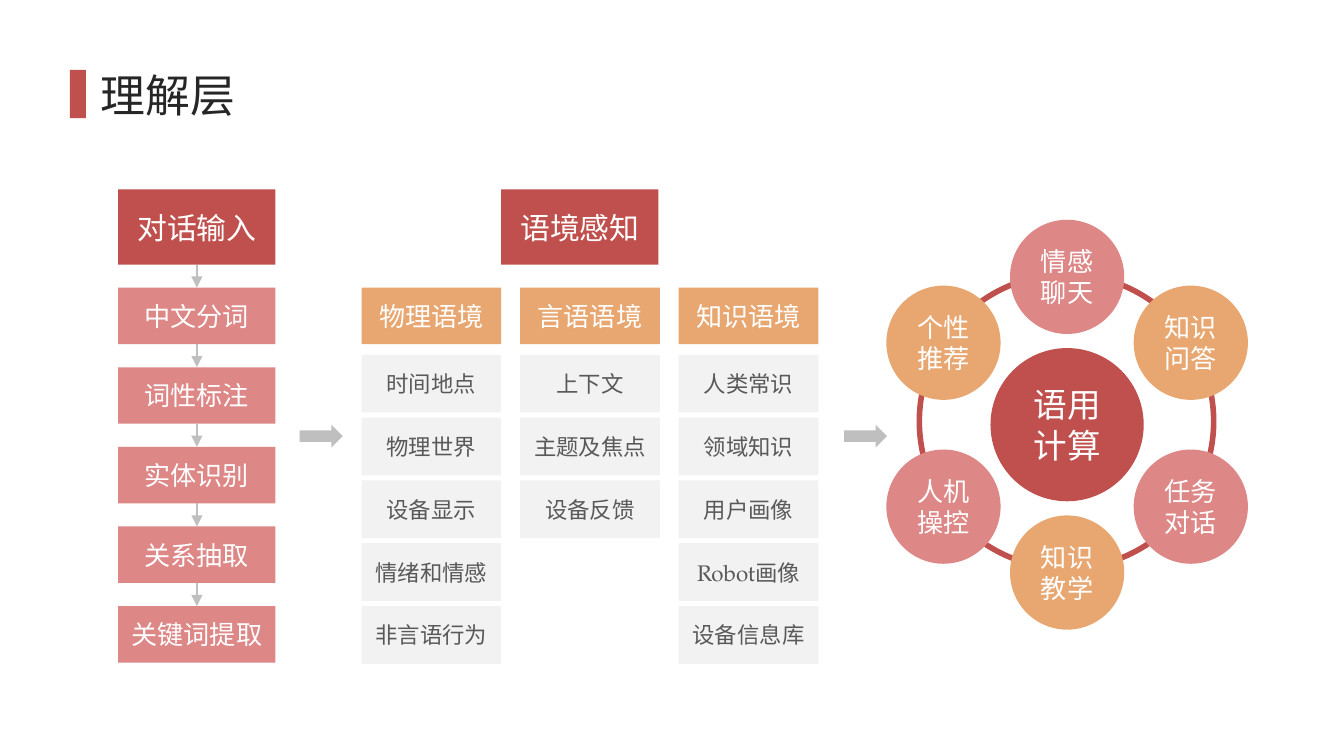
from dataclasses import dataclass

from pptx import Presentation
from pptx.dml.color import RGBColor
from pptx.enum.shapes import MSO_CONNECTOR, MSO_SHAPE
from pptx.enum.text import MSO_ANCHOR, PP_ALIGN
from pptx.oxml.ns import qn
from pptx.shapes.autoshape import Shape
from pptx.slide import Slide
from pptx.text.text import TextFrame
from pptx.util import Inches, Pt
from lxml.etree import SubElement

COLORS = {
    "red": "C0504D",
    "pink": "DD8787",
    "orange": "E8A770",
    "panel": "F2F2F2",
    "arrow": "BFBFBF",
    "white": "FFFFFF",
    "title": "262626",
    "body": "595959",
}
LATIN_FONT = "TeX Gyre Pagella"
CHINESE_FONT = "Noto Sans CJK JP"
PAGE_WIDTH = 10
PAGE_HEIGHT = PAGE_WIDTH * 9 / 16
TOP_ROW = 1.41
SECOND_ROW = 2.14
ITEM_ROW = 2.64
LAST_ROW = 4.51
ROW_COUNT = 5


@dataclass
class Frame:
    left: float
    top: float
    width: float
    height: float

    def lengths(self) -> tuple:
        return tuple(Inches(n) for n in (self.left, self.top, self.width, self.height))


@dataclass
class Context:
    name: str
    left: float
    items: tuple


@dataclass
class Satellite:
    text: str
    across: float
    down: float
    fill: str


STEPS = ("中文分词", "词性标注", "实体识别", "关系抽取", "关键词提取")
CONTEXTS = (
    Context("物理语境", 2.69, ("时间地点", "物理世界", "设备显示", "情绪和情感", "非言语行为")),
    Context("言语语境", 3.87, ("上下文", "主题及焦点", "设备反馈")),
    Context("知识语境", 5.05, ("人类常识", "领域知识", "用户画像", "Robot画像", "设备信息库")),
)
SATELLITES = (
    Satellite("个性推荐", -0.92, -0.61, "orange"),
    Satellite("人机操控", -0.92, 0.61, "pink"),
    Satellite("知识教学", 0, 1.1, "orange"),
    Satellite("情感聊天", 0, -1.1, "pink"),
    Satellite("知识问答", 0.92, -0.61, "orange"),
    Satellite("任务对话", 0.92, 0.61, "pink"),
)


def rgb(name: str) -> RGBColor:
    return RGBColor.from_string(COLORS[name])


def write_text(frame: TextFrame, text: str, *, size: float, color: str = "white",
               align: PP_ALIGN = PP_ALIGN.CENTER, inset: float = 0.05) -> None:
    frame.word_wrap = True
    frame.vertical_anchor = MSO_ANCHOR.MIDDLE
    frame.margin_left = frame.margin_right = Inches(inset)
    paragraph = frame.paragraphs[0]
    paragraph.alignment = align
    span = paragraph.add_run()
    span.text = text
    span.font.size = Pt(size)
    span.font.color.rgb = rgb(color)
    span.font.name = LATIN_FONT
    SubElement(span.font._element, qn("a:ea"), typeface=CHINESE_FONT)


def add_filled(page: Slide, kind: MSO_SHAPE, frame: Frame, fill: str) -> Shape:
    box = page.shapes.add_shape(kind, *frame.lengths())
    box.shadow.inherit = False
    box.fill.solid()
    box.fill.fore_color.rgb = rgb(fill)
    box.line.fill.background()
    return box


def add_box(page: Slide, text: str, frame: Frame, fill: str, *, size: float,
            color: str = "white") -> Shape:
    box = add_filled(page, MSO_SHAPE.RECTANGLE, frame, fill)
    write_text(box.text_frame, text, size=size, color=color)
    return box


def add_circle(page: Slide, text: str, center: tuple, diameter: float, fill: str, *,
               size: float) -> None:
    left, top = (middle - diameter / 2 for middle in center)
    circle = add_filled(page, MSO_SHAPE.OVAL, Frame(left, top, diameter, diameter), fill)
    write_text(circle.text_frame, text, size=size)


def join_down(page: Slide, upper: Shape, lower: Shape) -> None:
    connector = page.shapes.add_connector(MSO_CONNECTOR.STRAIGHT, 0, 0, 0, 0)
    connector.begin_connect(lower, 0)
    connector.end_connect(upper, 2)
    connector.line.color.rgb = rgb("arrow")
    connector.line.width = Pt(1)
    SubElement(connector.line._get_or_add_ln(), qn("a:headEnd"), type="triangle")
    SubElement(connector._element.spPr, qn("a:effectLst"))


def add_title(page: Slide) -> None:
    title = page.shapes.title
    title.left, title.top, title.width, title.height = Frame(0.5, 0.23, 9, 0.94).lengths()
    write_text(title.text_frame, "理解层", size=24, color="title",
               align=PP_ALIGN.LEFT, inset=0.25)
    add_filled(page, MSO_SHAPE.RECTANGLE, Frame(0.52, 0.52, 0.12, 0.36), "red")


def add_wheel(page: Slide) -> None:
    add_circle(page, "语用计算", (7.94, 3.16), 1.14, "red", size=18)
    ring = page.shapes.add_shape(MSO_SHAPE.OVAL, *Frame(6.84, 2.04, 2.19, 2.19).lengths())
    ring.shadow.inherit = False
    ring.fill.background()
    ring.line.color.rgb = rgb("red")
    ring.line.width = Pt(3)
    for satellite in SATELLITES:
        center = (7.94 + satellite.across, 3.16 + satellite.down)
        add_circle(page, satellite.text, center, 0.85, satellite.fill, size=14)


def add_steps(page: Slide) -> None:
    pitch = (LAST_ROW - SECOND_ROW) / (ROW_COUNT - 1)
    upper = add_box(page, "对话输入", Frame(0.88, TOP_ROW, 1.17, 0.56), "red", size=16)
    for row, step in enumerate(STEPS):
        frame = Frame(0.88, SECOND_ROW + row * pitch, 1.17, 0.42)
        lower = add_box(page, step, frame, "pink", size=14)
        join_down(page, upper, lower)
        upper = lower


def add_contexts(page: Slide) -> None:
    pitch = (LAST_ROW - ITEM_ROW) / (ROW_COUNT - 1)
    add_box(page, "语境感知", Frame(3.73, TOP_ROW, 1.17, 0.56), "red", size=16)
    for context in CONTEXTS:
        frame = Frame(context.left, SECOND_ROW, 1.04, 0.42)
        add_box(page, context.name, frame, "orange", size=14)
        for row, item in enumerate(context.items):
            frame = Frame(context.left, ITEM_ROW + row * pitch, 1.04, 0.43)
            add_box(page, item, frame, "panel", size=12, color="body")


def main() -> None:
    deck = Presentation()
    deck.slide_width, deck.slide_height = Inches(PAGE_WIDTH), Inches(PAGE_HEIGHT)
    page = deck.slides.add_slide(deck.slide_layouts.get_by_name("Title Only"))
    add_title(page)
    add_wheel(page)
    add_steps(page)
    add_contexts(page)
    for left in (2.23, 6.28):
        add_filled(page, MSO_SHAPE.RIGHT_ARROW, Frame(left, 3.16, 0.32, 0.17), "arrow")
    deck.save("out.pptx")


if __name__ == "__main__":
    main()
